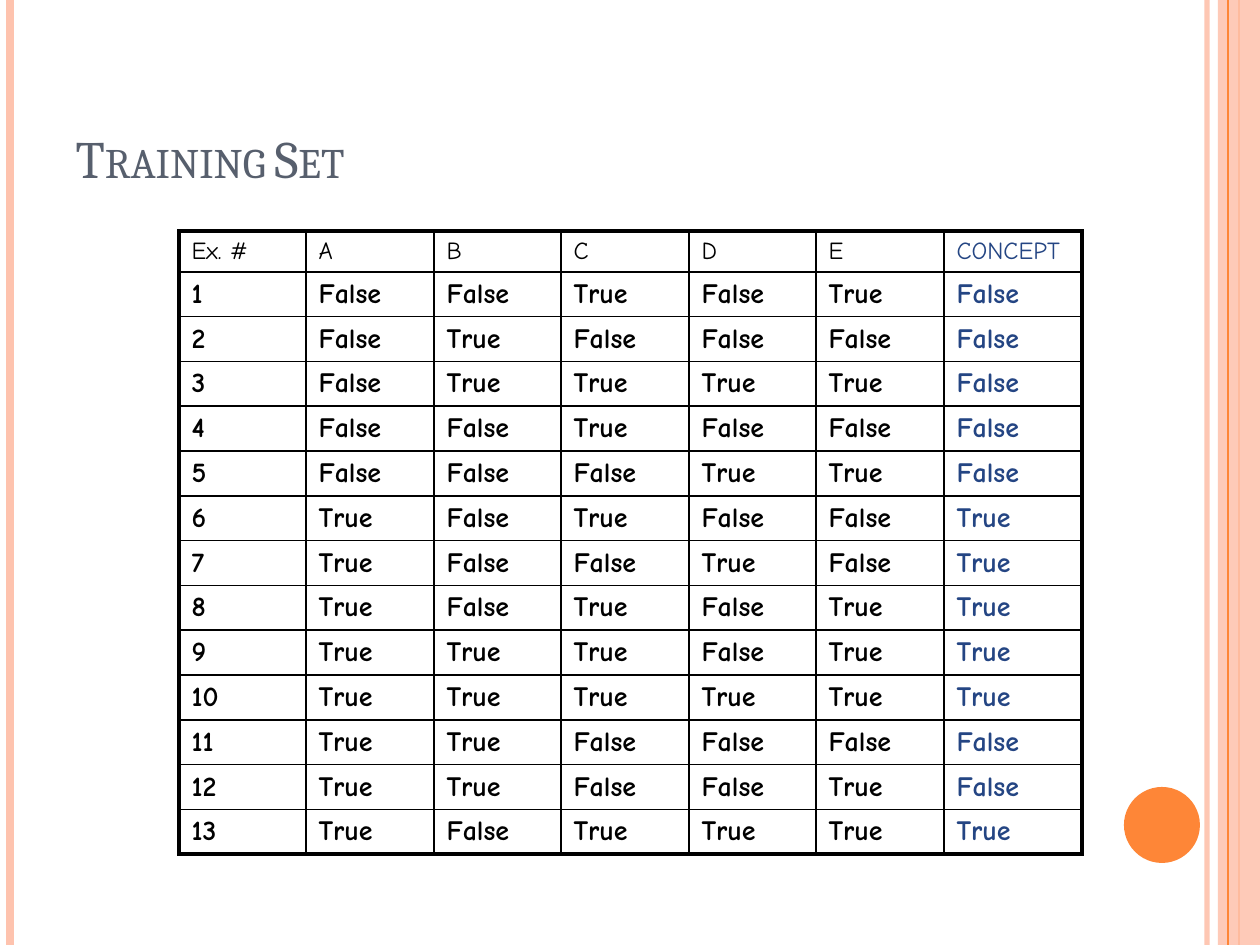
from lxml.etree import SubElement
from pptx import Presentation
from pptx.dml.color import RGBColor
from pptx.enum.shapes import MSO_CONNECTOR as Connector, MSO_SHAPE as Shape
from pptx.enum.text import MSO_ANCHOR as Anchor, PP_ALIGN as Align
from pptx.oxml.ns import qn
from pptx.util import Pt

PX = 914400 / 126  # EMU per pixel


class Theme:
    orange = RGBColor.from_string("FE8637")
    peach = RGBColor.from_string("FEC3AE")
    slate = RGBColor.from_string("575F6D")
    black = RGBColor.from_string("000000")
    blue = RGBColor.from_string("244583")
    title_font, table_font = "Cambria", "Comic Neue"
    title_size, header_size, body_size = Pt(30), Pt(14), Pt(16)
    inner_border, outer_border = Pt(1), Pt(2.25)


def px(*lengths):
    return [round(length * PX) for length in lengths]


def set_alpha(shape, percent):
    color = next(shape._element.spPr.iter(qn("a:srgbClr")))
    SubElement(color, qn("a:alpha"), val=str(percent * 1000))


presentation = Presentation()
presentation.slide_width, presentation.slide_height = px(1260, 945)
slide = presentation.slides.add_slide(presentation.slide_layouts[5])

# Side stripes, with the pale band below the last one
for x, color, width, opacity in [
    (1207, Theme.peach, 3, 93),
    (10, Theme.peach, 4.5, 100),
    (1239, Theme.orange, 1.5, 100),
    (1228, Theme.orange, 0.75, 100),
]:
    if x == 1228:
        band = slide.shapes.add_shape(Shape.RECTANGLE, *px(1218, 0, 42, 945))
        band.shadow.inherit = False
        band.fill.solid()
        band.fill.fore_color.rgb = Theme.peach
        band.line.fill.background()
        set_alpha(band, 87)
    stripe = slide.shapes.add_connector(Connector.STRAIGHT, *px(x, 0, x, 945))
    stripe.line.color.rgb = color
    stripe.line.width = Pt(width)
    if opacity < 100:
        set_alpha(stripe, opacity)
    SubElement(stripe._element.spPr, qn("a:effectLst"))

# Corner disc
disc = slide.shapes.add_shape(Shape.OVAL, *px(1124, 787, 76, 76))
disc.shadow.inherit = False
disc.fill.solid()
disc.fill.fore_color.rgb = Theme.orange
disc.line.fill.background()

# Title
title = slide.shapes.title
title.left, title.top, title.width, title.height = px(63, 38, 1029, 157)
title.text_frame.text = "Training Set"
title.text_frame.vertical_anchor = Anchor.BOTTOM
paragraph = title.text_frame.paragraphs[0]
paragraph.alignment = Align.LEFT
paragraph.font.name = Theme.title_font
paragraph.font.size = Theme.title_size
paragraph.font.color.rgb = Theme.slate
paragraph.runs[0]._r.get_or_add_rPr().set("cap", "small")

# Training examples: attributes A to E, then the concept
examples = [
    "FFTFTF", "FTFFFF", "FTTTTF", "FFTFFF", "FFFTTF", "TFTFFT", "TFFTFT",
    "TFTFTT", "TTTFTT", "TTTTTT", "TTFFFF", "TTFFTF", "TFTTTT",
]
words = {"T": "True", "F": "False"}
rows = [["Ex. #", *"ABCDE", "CONCEPT"]]
for number, values in enumerate(examples, start=1):
    rows.append([str(number), *(words[value] for value in values)])

# Table; the rows grow to fit their text
column_widths = [127, 128] * 3 + [138]
row_heights = [28] + [40] * len(examples)
last_row, last_column = len(row_heights) - 1, len(column_widths) - 1
table = slide.shapes.add_table(
    len(row_heights), len(column_widths),
    *px(179, 231, sum(column_widths), sum(row_heights)),
).table
table.first_row = table.horz_banding = False
for column, width in zip(table.columns, px(*column_widths)):
    column.width = width
for row, height in zip(table.rows, px(*row_heights)):
    row.height = height

for r, texts in enumerate(rows):
    for c, text in enumerate(texts):
        cell = table.cell(r, c)
        cell.text = text
        paragraph = cell.text_frame.paragraphs[0]
        spacing = SubElement(paragraph._p.get_or_add_pPr(), qn("a:spcBef"))
        SubElement(spacing, qn("a:spcPct"), val="20000")
        font = paragraph.font
        font.name = Theme.table_font
        font.size = Theme.body_size if r else Theme.header_size
        font.bold = r > 0
        font.color.rgb = Theme.blue if c == last_column else Theme.black

        # Thick borders on the outer edge, thin ones inside
        properties = cell._tc.get_or_add_tcPr()
        for side, is_outer in [
            ("L", c == 0), ("R", c == last_column),
            ("T", r == 0), ("B", r == last_row),
        ]:
            width = Theme.outer_border if is_outer else Theme.inner_border
            border = SubElement(properties, qn(f"a:ln{side}"), w=str(width))
            fill = SubElement(border, qn("a:solidFill"))
            SubElement(fill, qn("a:srgbClr"), val=str(Theme.black))
        cell.fill.background()

presentation.save("out.pptx")
